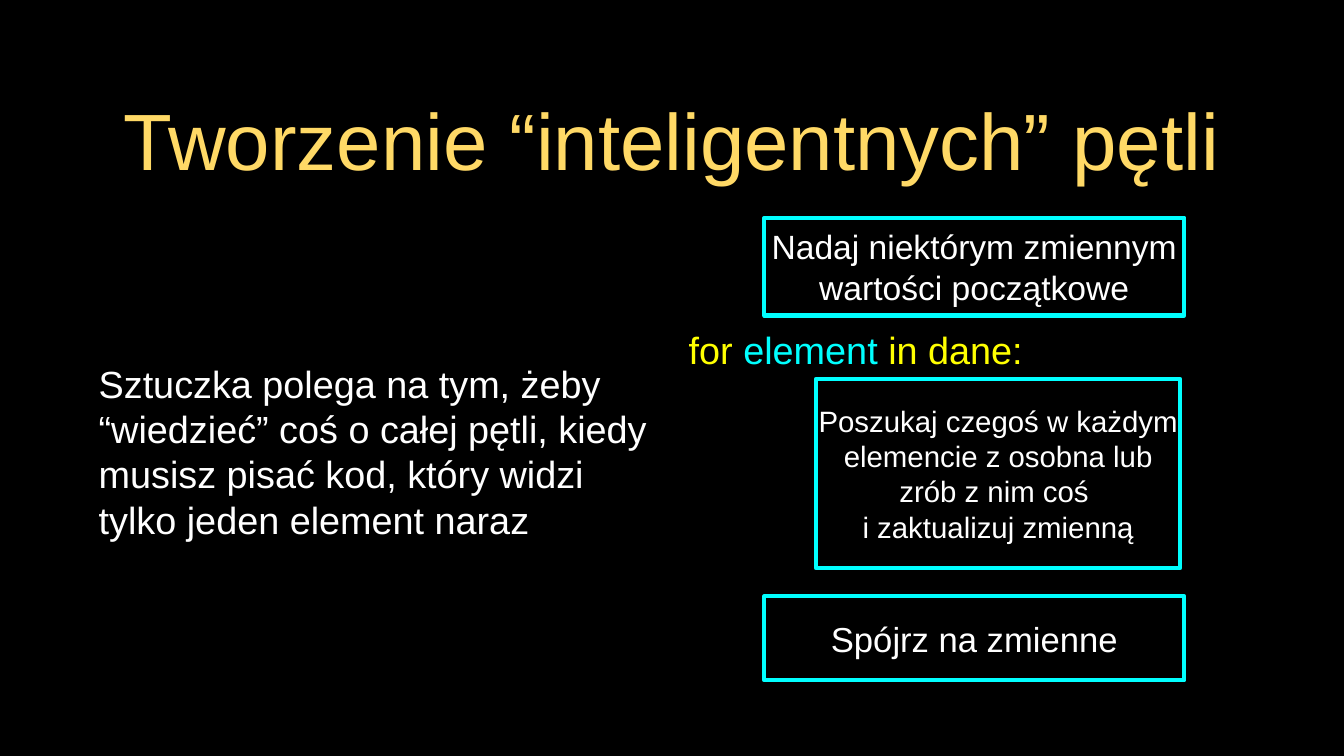
from pptx import Presentation
from pptx.dml.color import RGBColor
from pptx.enum import shapes, text
from pptx.util import Pt

BLACK = RGBColor(0, 0, 0)
WHITE = RGBColor(255, 255, 255)
GOLD = RGBColor(0xFF, 0xD9, 0x66)
CYAN = RGBColor(0, 255, 255)
YELLOW = RGBColor(255, 255, 0)
LEFT, MID = text.PP_ALIGN.LEFT, text.PP_ALIGN.CENTER


def write(shape, lines, size, align=MID, inset=0):
    frame = shape.text_frame
    frame.word_wrap = True
    frame.auto_size = text.MSO_AUTO_SIZE.NONE
    frame.vertical_anchor = text.MSO_ANCHOR.MIDDLE
    frame.margin_left = frame.margin_right = Pt(inset)
    frame.margin_top = frame.margin_bottom = Pt(inset)
    para = frame.paragraphs[0]
    para.alignment = align
    para.line_spacing = 1.0
    for row, runs in enumerate(lines):
        if row:
            para.add_line_break()
        for words, color in runs:
            run = para.add_run()
            run.text = words
            run.font.name = "Arial"
            run.font.size = Pt(size)
            run.font.color.rgb = color


def head(slide, place, words):
    title = slide.shapes.title
    title.left, title.top, title.width, title.height = map(Pt, place)
    write(title, [[(words, GOLD)]], 76, inset=3)


def label(slide, place, runs, size, align=MID, inset=0):
    box = slide.shapes.add_textbox(*map(Pt, place))
    write(box, [runs], size, align, inset)


def step(slide, place, lines, size):
    box = slide.shapes.add_shape(shapes.MSO_SHAPE.RECTANGLE, *map(Pt, place))
    box.shadow.inherit = False
    box.fill.background()
    box.line.color.rgb = CYAN
    box.line.width = Pt(4)
    write(box, [[(line, WHITE)] for line in lines], size)


def main():
    deck = Presentation()
    deck.slide_width, deck.slide_height = Pt(1280), Pt(720)
    slide = deck.slides.add_slide(deck.slide_layouts[5])
    slide.background.fill.solid()
    slide.background.fill.fore_color.rgb = BLACK

    head(slide, (91, 64, 1097, 135), "Tworzenie “inteligentnych” pętli")
    label(slide, (91, 205, 539, 449), [(
        "Sztuczka polega na tym, żeby “wiedzieć” coś o całej pętli, "
        "kiedy musisz pisać kod, który widzi tylko jeden element naraz",
        WHITE)], 36, LEFT, 3)
    step(slide, (728, 207.5, 400, 93),
         ["Nadaj niektórym zmiennym wartości początkowe"], 32)
    step(slide, (777, 361, 347, 180),
         ["Poszukaj czegoś w każdym elemencie z osobna lub zrób z nim coś ",
          "i zaktualizuj zmienną"], 28)
    label(slide, (641.5, 308, 347, 49),
          [("for ", YELLOW), ("element", CYAN), (" in dane:", YELLOW)], 36)
    step(slide, (728, 568, 400, 80), ["Spójrz na zmienne"], 33)
    deck.save("out.pptx")


main()
